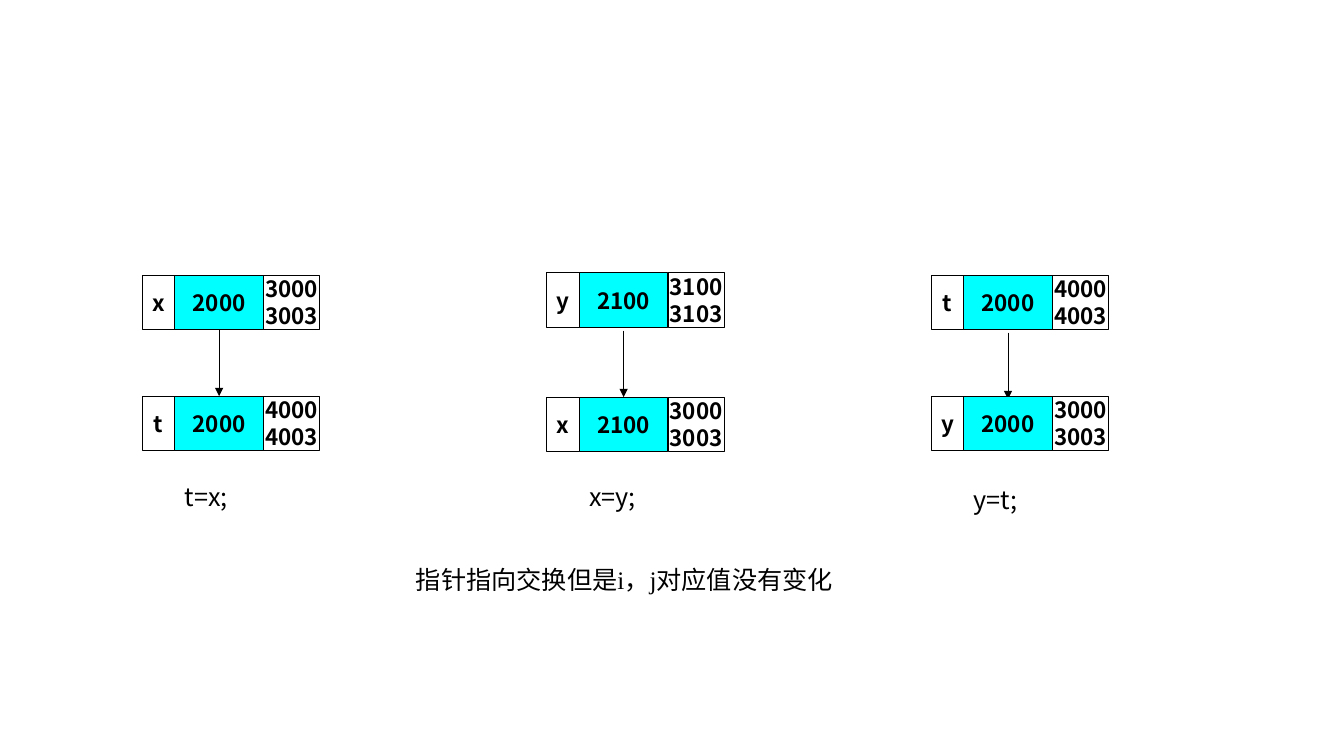
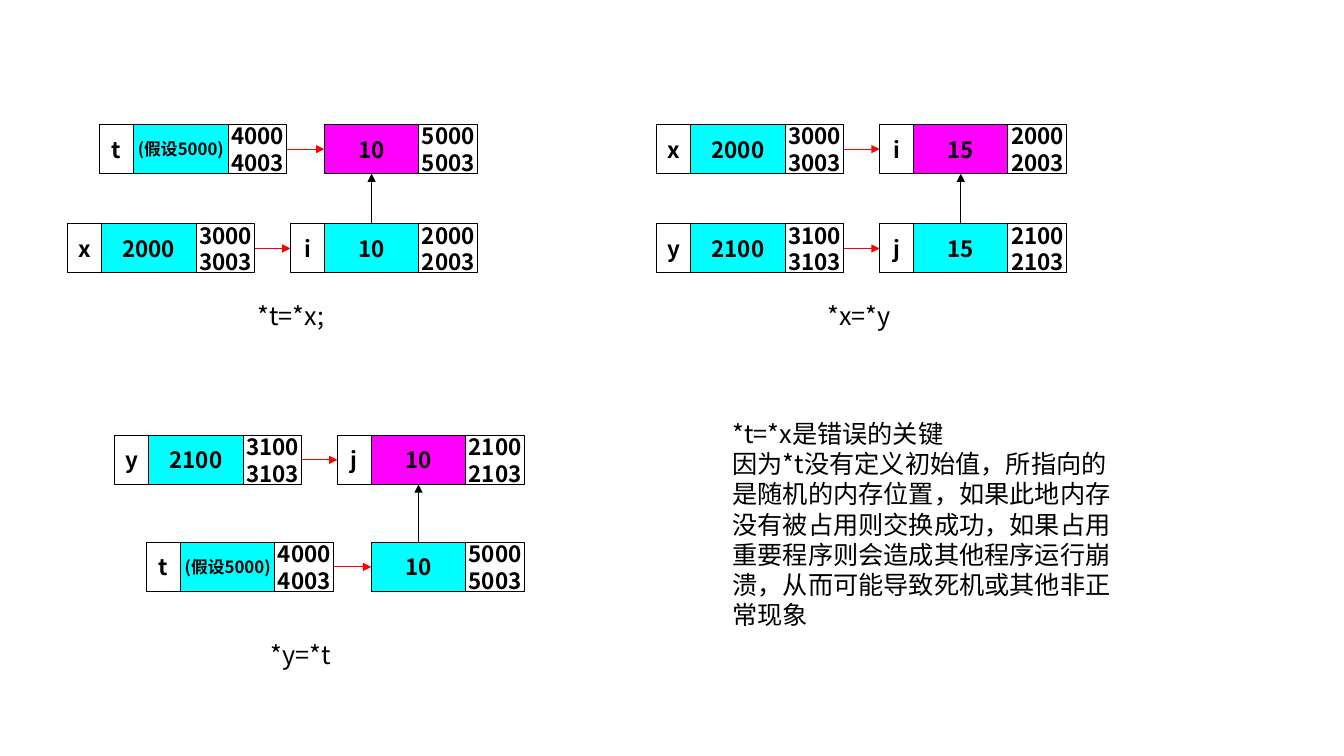
from lxml import etree
from pptx import Presentation
from pptx.dml.color import RGBColor
from pptx.enum import shapes, text
from pptx.oxml import ns
from pptx.util import Pt

COLORS = {"ink": "000000", "pointer": "00FFFF", "target": "FF00FF", "link": "FF0000"}
SANS, SERIF = "Noto Sans CJK SC", "Times New Roman"
LINE_HEIGHT = 1.2


def add_words(slide, box, lines, size=18, cell=False, fill=None, font=SANS, centred=False):
    """Add a bordered memory cell or a plain text box, one paragraph per line."""
    box = [Pt(length) for length in box]
    if cell:
        holder = slide.shapes.add_shape(shapes.MSO_SHAPE.RECTANGLE, *box)
        holder.shadow.inherit = False
        holder.line.color.rgb = RGBColor.from_string(COLORS["ink"])
        holder.line.width = Pt(0.75)
        if fill:
            holder.fill.solid()
            holder.fill.fore_color.rgb = RGBColor.from_string(COLORS[fill])
        else:
            holder.fill.background()
    else:
        holder = slide.shapes.add_textbox(*box)
    frame = holder.text_frame
    frame.word_wrap = not cell
    if cell:
        frame.vertical_anchor = text.MSO_ANCHOR.MIDDLE
        frame.margin_left = frame.margin_right = Pt(0)
        frame.margin_top = frame.margin_bottom = Pt(0)
    for number, line in enumerate(lines):
        paragraph = frame.add_paragraph() if number else frame.paragraphs[0]
        paragraph.alignment = text.PP_ALIGN.CENTER if cell or centred else text.PP_ALIGN.LEFT
        paragraph.line_spacing = Pt(size * LINE_HEIGHT)
        run = paragraph.add_run()
        run.text = line
        run.font.size = Pt(size)
        run.font.bold = cell
        run.font.name = font
        run.font.color.rgb = RGBColor.from_string(COLORS["ink"])
        east_asian = etree.SubElement(run.font._element, ns.qn("a:ea"))
        east_asian.set("typeface", SANS)


def add_arrow(slide, start, end, color):
    arrow = slide.shapes.add_connector(
        shapes.MSO_CONNECTOR.STRAIGHT, *[Pt(length) for length in (*start, *end)])
    arrow.line.color.rgb = RGBColor.from_string(COLORS[color])
    arrow.line.width = Pt(0.75)
    etree.SubElement(arrow.line._get_or_add_ln(), ns.qn("a:tailEnd")).set("type", "triangle")
    etree.SubElement(arrow._element.spPr, ns.qn("a:effectLst"))


prs = Presentation()
prs.slide_width, prs.slide_height = Pt(960), Pt(540)
blank = prs.slide_layouts[6]
swap_pointers = prs.slides.add_slide(blank)
swap_values = prs.slides.add_slide(blank)

# Widths of the name, value and address cells, and the row height
POINTER_ROW = (23, 63.5, 40, 39)
VALUE_ROW = (24.2, 67.5, 42, 35)
variables = []  # slide, row sizes, left, top, name, value, first address, fill

# Slide 1: assigning the pointers; each variable is (name, value, first address)
pointer_steps = [
    # left, upper top, lower top, arrow top, caption top, upper, lower, caption
    (101.8, 196.5, 283, 235.5, 340.5, ("x", "2000", 3000), ("t", "2000", 4000), "t=x;"),
    (390.7, 195, 283.7, 236.2, 340.5, ("y", "2100", 3100), ("x", "2100", 3000), "x=y;"),
    (665.3, 196.5, 283, 237.6, 342.7, ("t", "2000", 4000), ("y", "2000", 3000), "y=t;"),
]
for left, upper_top, lower_top, arrow_top, caption_top, upper, lower, caption in pointer_steps:
    variables.append((swap_pointers, POINTER_ROW, left, upper_top, *upper, "pointer"))
    variables.append((swap_pointers, POINTER_ROW, left, lower_top, *lower, "pointer"))
    arrow_x = left + POINTER_ROW[0] + POINTER_ROW[1] / 2
    add_arrow(swap_pointers, (arrow_x, arrow_top), (arrow_x, arrow_top + 47.5), "ink")
    add_words(swap_pointers, (left + POINTER_ROW[0], caption_top, 63.5, 29), [caption])
add_words(swap_pointers, (232, 399.5, 428, 29), ["指针指向交换但是i，j对应值没有变化"],
          font=SERIF, centred=True)

# Slide 2: assigning the values pointed to; a target without a name has no name cell
value_steps = [
    # target left, caption place, caption, rows of (top, pointer left, pointer, target)
    (207.5, (177, 211), "*t=*x;", [
        (89, 71.2, ("t", "(假设5000)", 4000), ("", "10", 5000)),
        (160, 48.4, ("x", "2000", 3000), ("i", "10", 2000))]),
    (628.3, (584, 211), "*x=*y", [
        (89, 469.2, ("x", "2000", 3000), ("i", "15", 2000)),
        (160, 469.2, ("y", "2100", 3100), ("j", "15", 2100))]),
    (241, (186.5, 453), "*y=*t", [
        (311, 82, ("y", "2100", 3100), ("j", "10", 2100)),
        (387.5, 104.7, ("t", "(假设5000)", 4000), ("", "10", 5000))]),
]
name_width, value_width, address_width, row_height = VALUE_ROW
for target_left, caption_place, caption, rows in value_steps:
    for (top, left, pointer, target), fill in zip(rows, ("target", "pointer")):
        variables.append((swap_values, VALUE_ROW, left, top, *pointer, "pointer"))
        variables.append((swap_values, VALUE_ROW, target_left, top, *target, fill))
        middle = top + row_height / 2
        link_start = left + name_width + value_width + address_width
        link_end = target_left if target[0] else target_left + name_width
        add_arrow(swap_values, (link_start, middle), (link_end, middle), "link")
    copy_x = target_left + name_width + value_width / 2
    add_arrow(swap_values, (copy_x, rows[1][0]), (copy_x, rows[0][0] + row_height), "ink")
    add_words(swap_values, (*caption_place, 63.5, 29), [caption])
add_words(swap_values, (516.2, 295.2, 293, 160), [
    "*t=*x是错误的关键",
    "因为*t没有定义初始值，所指向的是随机的内存位置，如果此地内存没有被占用则交换成功，"
    "如果占用重要程序则会造成其他程序运行崩溃，从而可能导致死机或其他非正常现象"])

# Memory cells of both slides
for slide, (*widths, height), left, top, name, value, address, fill in variables:
    contents = ([name], [value], [str(address), str(address + 3)])
    for width, lines, cell_fill in zip(widths, contents, (None, fill, None)):
        if lines[0]:
            size = 12 if "假设" in lines[0] else 16
            add_words(slide, (left, top, width, height), lines, size, cell=True, fill=cell_fill)
        left += width

prs.save("out.pptx")
